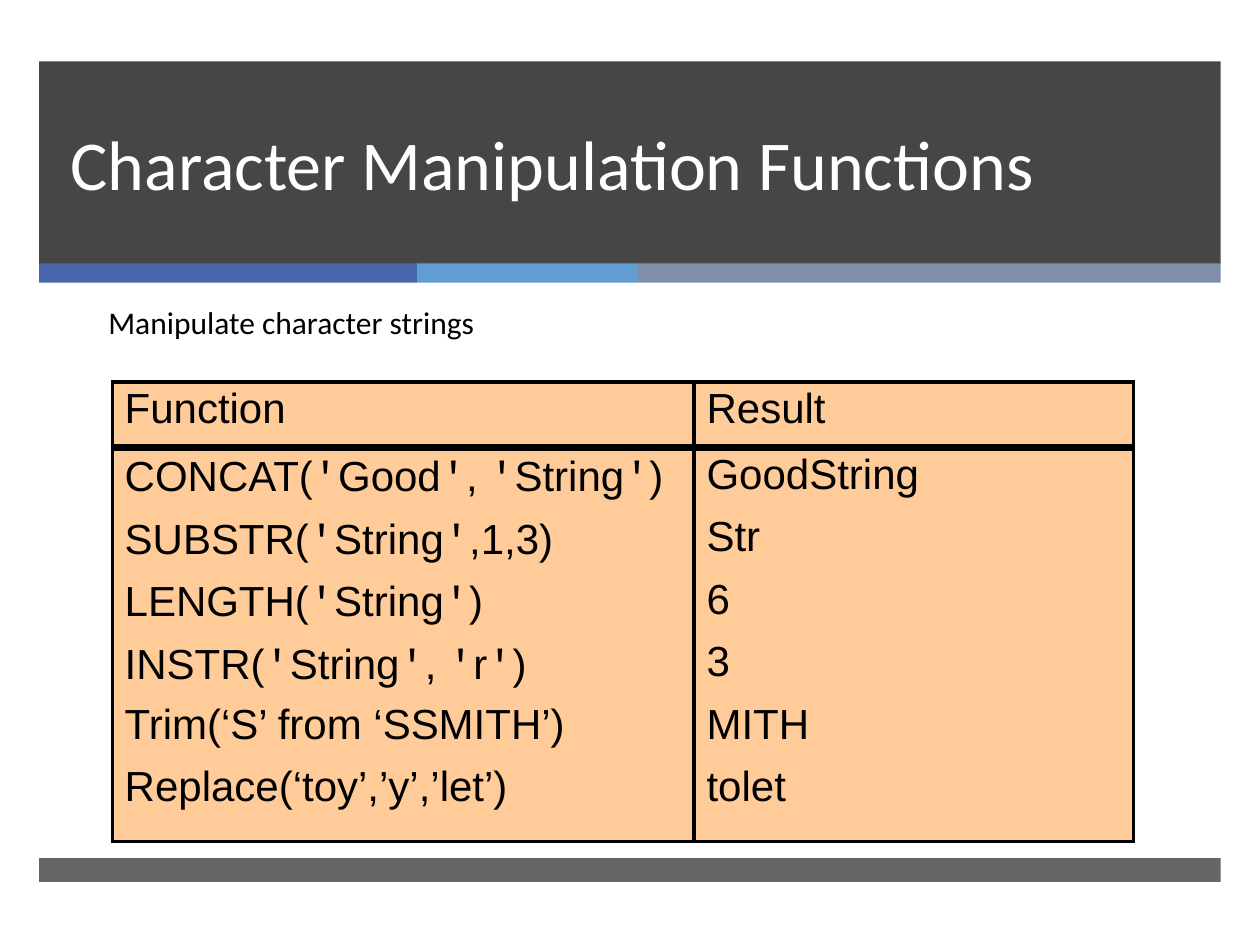
from itertools import groupby

from lxml.etree import SubElement
from pptx import Presentation
from pptx.dml.color import RGBColor
from pptx.enum.shapes import MSO_SHAPE
from pptx.enum.text import MSO_ANCHOR, MSO_AUTO_SIZE, PP_ALIGN
from pptx.oxml.ns import qn
from pptx.util import Cm, Pt

COLORS = {
    "band": "262626",
    "blue": "4A66AC",
    "sky": "629DD1",
    "slate": "7F8FA9",
    "peach": "FFCC99",
    "ink": "000000",
    "white": "FFFFFF",
}
FUNCTIONS = [
    ("Function", "Result"),
    ("CONCAT('Good', 'String')", "GoodString"),
    ("SUBSTR('String',1,3)", "Str"),
    ("LENGTH('String')", "6"),
    ("INSTR('String', 'r')", "3"),
    ("Trim(‘S’ from ‘SSMITH’)", "MITH"),
    ("Replace(‘toy’,’y’,’let’)", "tolet"),
]
BAND_LEFT, BAND_WIDTH = 0.79, 23.82
ACCENTS = [("blue", 7.62), ("sky", 4.45), ("slate", 11.75)]
COLUMN_WIDTHS = [11.73, 8.86]
ROW_HEIGHTS = [1.32] + [1.26] * 5 + [1.64]


class SlideBuilder:
    heading_font = "Calibri"
    table_font = "Arial"
    quote_font = "Courier New"

    def __init__(self, slide):
        self.slide = slide

    def color(self, name):
        return RGBColor.from_string(COLORS[name])

    def add_run(self, paragraph, text, font, size, color):
        run = paragraph.add_run()
        run.text = text
        run.font.name = font
        run.font.size = Pt(size)
        run.font.color.rgb = self.color(color)

    def bar(self, left, top, width, height, color, opacity=100):
        bar = self.slide.shapes.add_shape(
            MSO_SHAPE.RECTANGLE, Cm(left), Cm(top), Cm(width), Cm(height))
        bar.shadow.inherit = False
        bar.line.fill.background()
        bar.fill.solid()
        bar.fill.fore_color.rgb = self.color(color)
        if opacity < 100:
            tint = bar.fill._xPr.find(".//" + qn("a:srgbClr"))
            SubElement(tint, qn("a:alpha"), val=str(opacity * 1000))

    def placeholder(self, holder, text, box, size, color, anchor, spacing=None):
        self.slide.shapes._spTree.append(holder._element)
        holder.left, holder.top, holder.width, holder.height = map(Cm, box)
        frame = holder.text_frame
        frame.word_wrap = True
        frame.auto_size = MSO_AUTO_SIZE.NONE
        frame.vertical_anchor = anchor
        paragraph = frame.paragraphs[0]
        properties = paragraph._p.get_or_add_pPr()
        properties.set("marL", "0")
        properties.set("indent", "0")
        SubElement(properties, qn("a:buNone"))
        paragraph.alignment = PP_ALIGN.LEFT
        paragraph.space_before = Pt(0)
        if spacing:
            paragraph.line_spacing = Pt(spacing)
        self.add_run(paragraph, text, self.heading_font, size, color)

    def borders(self, cell, widths):
        properties = cell._tc.get_or_add_tcPr()
        for side, width in zip(("lnL", "lnR", "lnT", "lnB"), widths):
            line = SubElement(properties, qn("a:" + side), w=str(Pt(width)))
            if width:
                fill = SubElement(line, qn("a:solidFill"))
                SubElement(fill, qn("a:srgbClr"), val=COLORS["ink"])
            else:
                SubElement(line, qn("a:noFill"))

    def cell(self, cell, text, widths):
        self.borders(cell, widths)
        cell.fill.solid()
        cell.fill.fore_color.rgb = self.color("peach")
        paragraph = cell.text_frame.paragraphs[0]
        paragraph.line_spacing = 0.95
        for quoted, letters in groupby(text, key=lambda letter: letter == "'"):
            font = self.quote_font if quoted else self.table_font
            self.add_run(paragraph, "".join(letters), font, 24, "ink")

    def table(self, left, top, rows, column_widths, row_heights):
        table = self.slide.shapes.add_table(
            len(rows), len(column_widths), Cm(left), Cm(top),
            Cm(sum(column_widths)), Cm(sum(row_heights))).table
        table.first_row = False
        table.horz_banding = False
        for column, width in zip(table.columns, column_widths):
            column.width = Cm(width)
        for row, height in zip(table.rows, row_heights):
            row.height = Cm(height)
        rules = [2, 4] + [0] * (len(rows) - 2) + [2]
        for r, texts in enumerate(rows):
            for c, text in enumerate(texts):
                self.cell(table.cell(r, c), text, (2, 2, rules[r], rules[r + 1]))


def main():
    presentation = Presentation()
    presentation.slide_width, presentation.slide_height = Cm(25.4), Cm(19.05)
    slide = presentation.slides.add_slide(presentation.slide_layouts[1])
    builder = SlideBuilder(slide)

    builder.bar(BAND_LEFT, 1.24, BAND_WIDTH, 4.08, "band", 85)
    accent_left = BAND_LEFT
    for color, width in ACCENTS:
        builder.bar(accent_left, 5.31, width, 0.39, color)
        accent_left += width
    builder.bar(BAND_LEFT, 17.3, BAND_WIDTH, 0.48, "band", 70)

    builder.placeholder(
        slide.shapes.title, "Character Manipulation Functions",
        (1.17, 1.24, 21.69, 3.02), 40, "white", MSO_ANCHOR.BOTTOM, 46)
    builder.table(2.26, 7.7, FUNCTIONS, COLUMN_WIDTHS, ROW_HEIGHTS)
    builder.placeholder(
        slide.placeholders[1], "Manipulate character strings",
        (1.93, 5.99, 23.01, 1.4), 18, "ink", MSO_ANCHOR.TOP)

    presentation.save("out.pptx")


if __name__ == "__main__":
    main()
